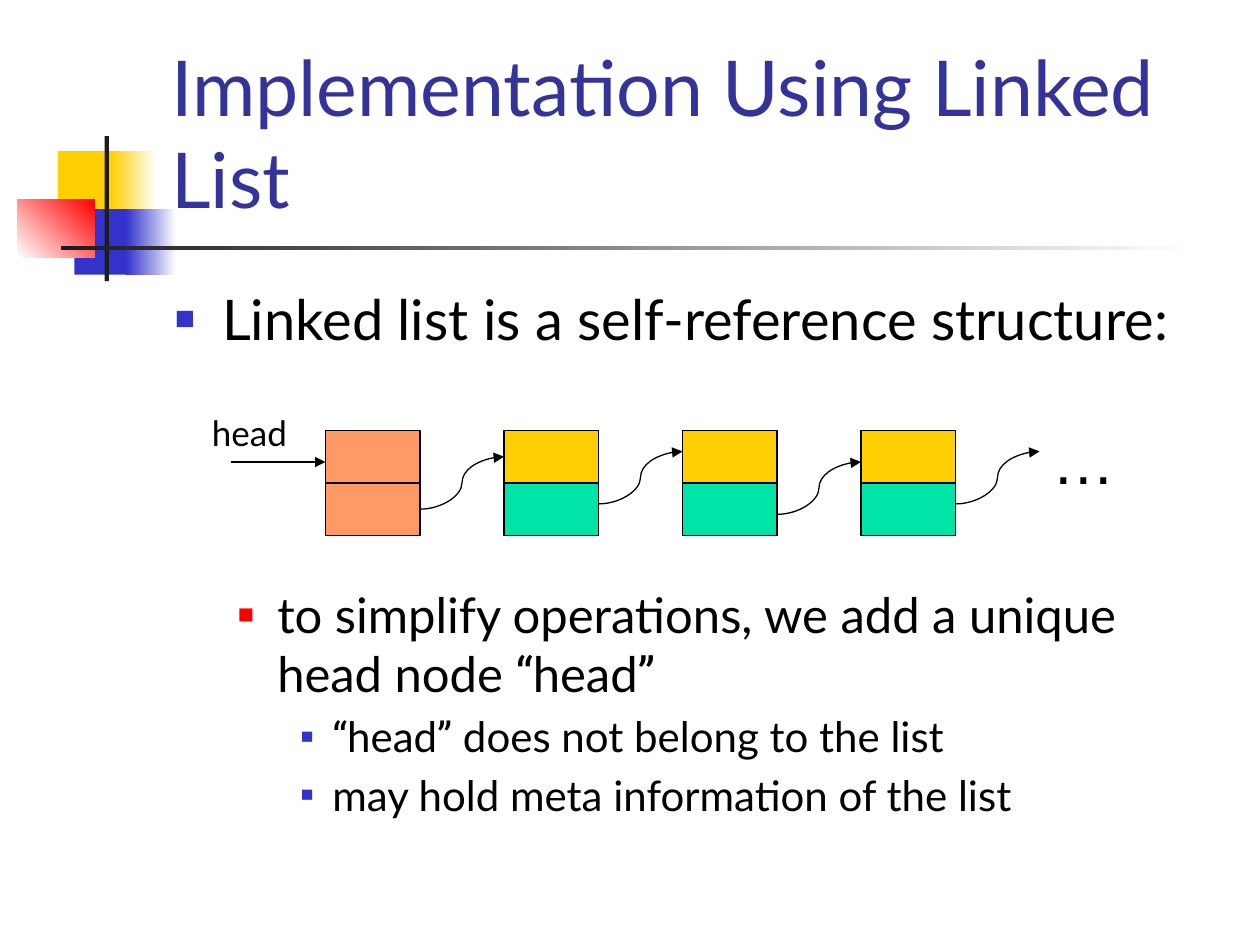
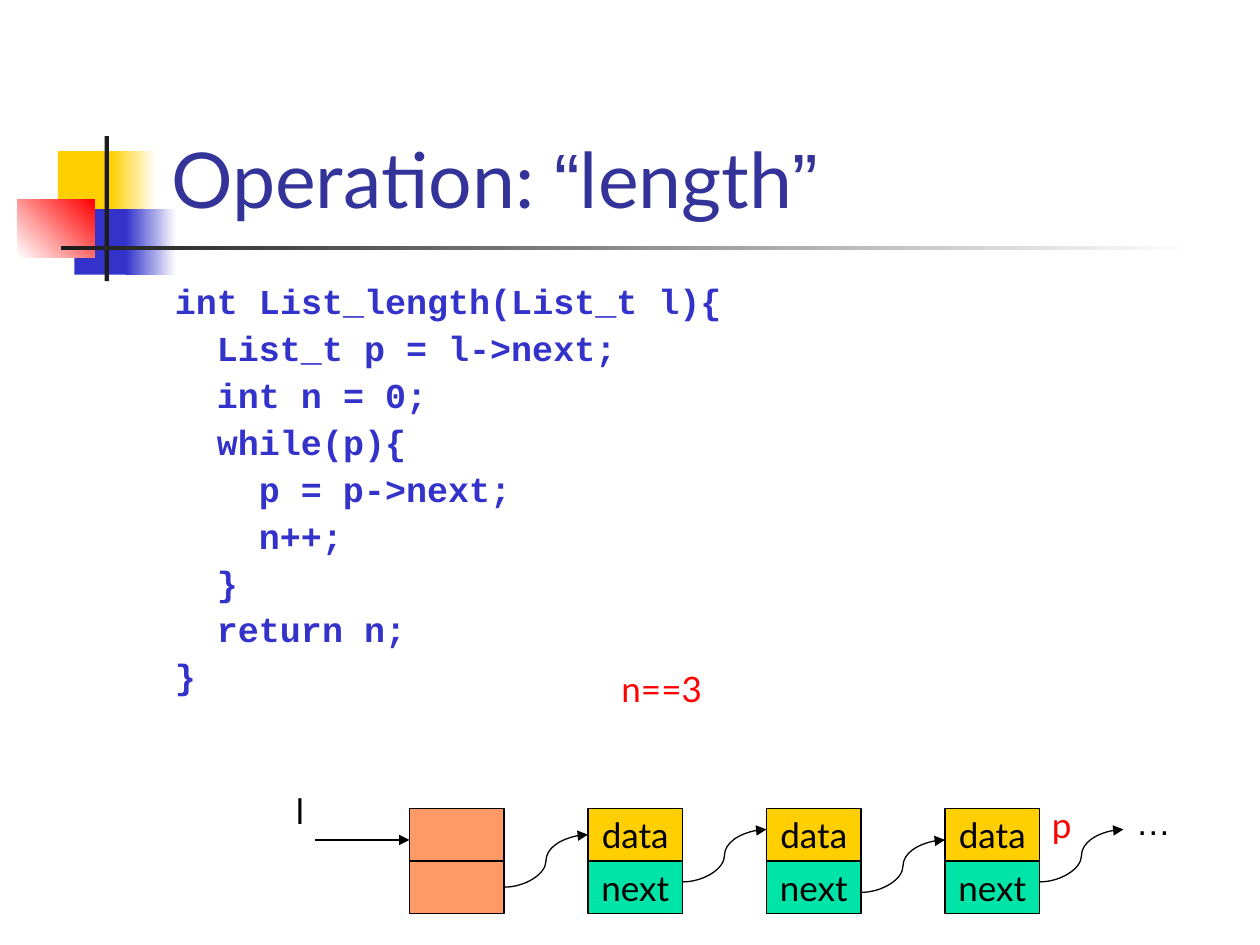
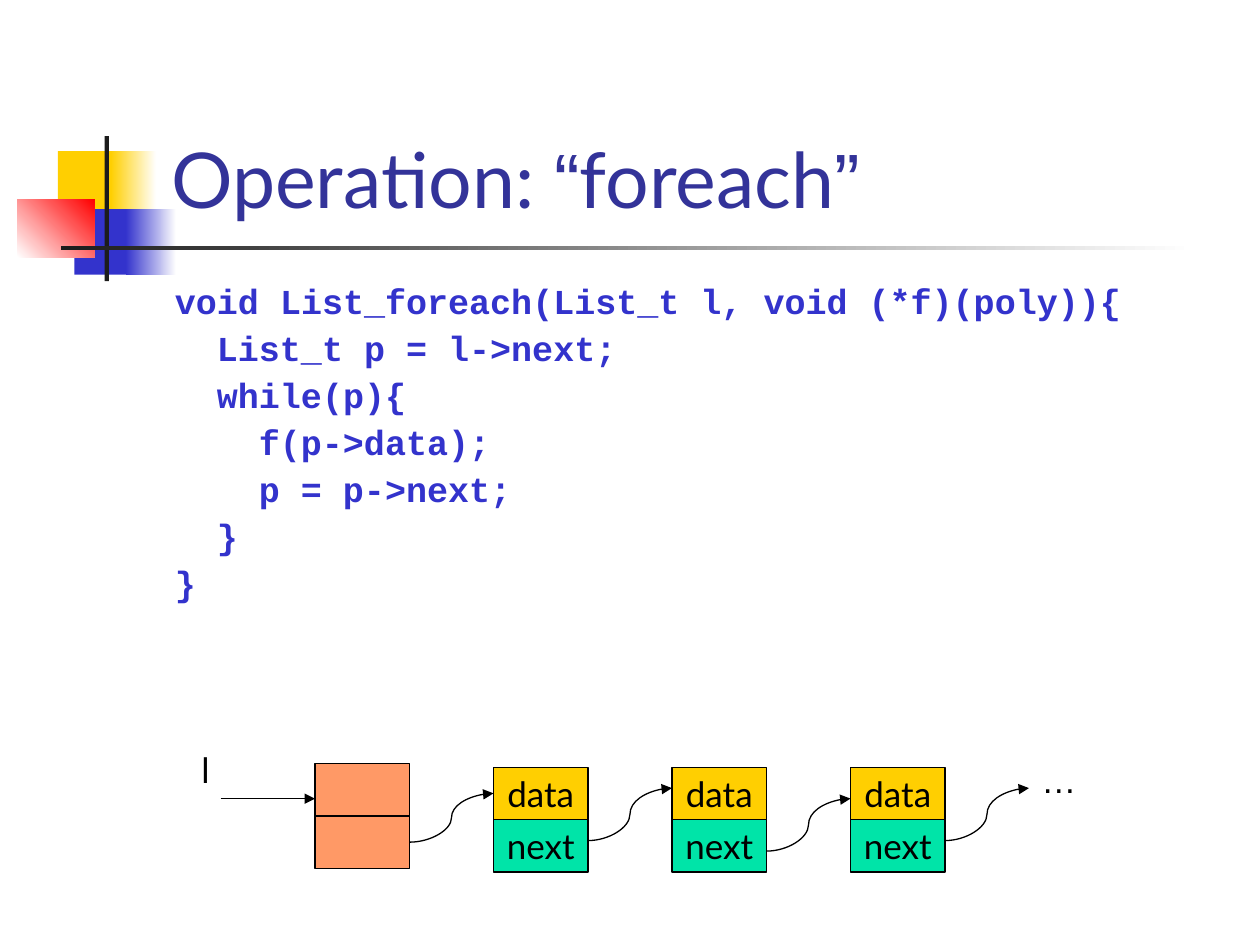
from dataclasses import dataclass, replace
from itertools import groupby

from lxml.etree import SubElement
from pptx import Presentation
from pptx.dml.color import RGBColor
from pptx.enum.shapes import MSO_CONNECTOR, MSO_SHAPE
from pptx.enum.text import MSO_ANCHOR, PP_ALIGN
from pptx.oxml.ns import qn
from pptx.util import Pt


@dataclass(frozen=True)
class Theme:
    title: str = "333399"
    ink: str = "000000"
    bar: str = "1C1C1C"
    white: str = "FFFFFF"
    yellow: str = "FFCF01"
    blue: str = "3333CC"
    red: str = "FF0000"
    head: str = "FF9966"
    green: str = "00E4A8"
    sans: str = "Lato"
    plain: str = "Arial"
    quote: str = "Roboto"
    mono: str = "Courier New"
    title_size: int = 44
    small: int = 20
    outline: float = 0.75


@dataclass(frozen=True)
class Style:
    size: float
    color: str = Theme.ink
    font: str = Theme.sans
    quote_font: str = Theme.plain
    bold: bool = False
    before: float = 0
    line: float = 1.0
    left: float = 0
    hang: float = 0
    bullet: str = ""
    bullet_percent: int = 0


THEME = Theme()
TITLE = Style(THEME.title_size, THEME.title)
LABEL = Style(THEME.small)
MARK = replace(LABEL, color=THEME.red)
CODE = Style(THEME.small, THEME.blue, THEME.mono, bold=True, before=5.2, line=0.9)
POINT = Style(32, left=27, hang=27, bullet=THEME.blue, bullet_percent=60)
SUBPOINT = Style(28, quote_font=THEME.quote, before=133, left=58.5, hang=22.5,
                 bullet=THEME.red, bullet_percent=55)
DETAIL = Style(24, quote_font=THEME.quote, before=4.8, left=90, hang=18,
               bullet=THEME.blue, bullet_percent=50)

TITLE_BOX = (90.72, 16.56, 613.44, 115.2)
BODY_BOX = (92.9, 159.1, 612, 324)

BANDS = [
    ((33.1, 86.4, 34.6, 37.4), (THEME.yellow,), 0),
    ((63.4, 86.4, 25.9, 37.4), (THEME.yellow, THEME.white), 0),
    ((42.5, 119.5, 33.1, 37.4), (THEME.blue,), 0),
    ((72, 119.5, 28.8, 37.4), (THEME.blue, THEME.white), 0),
    ((10, 113.8, 44, 33.1), (THEME.white, THEME.red), 45),
    ((59.8, 77.8, 2.4, 82.8), (THEME.bar,), 0),
    ((34.6, 140.4, 648, 2.4), (THEME.bar, THEME.white), 0),
]

NODE_WIDTH, CELL_HEIGHT, NODE_PITCH, NODE_COUNT = 54, 30, 102, 4
LINK_ENDS = [(45, 15), (42, 12), (48, 18), (42, 12)]
POINTER_DROP = 18

SLIDES = [
    {
        "title": "Implementation Using Linked List",
        "points": [
            ("Linked list is a self-reference structure:", POINT),
            ("to simplify operations, we add a unique head node “head”", SUBPOINT),
            ("“head” does not belong to the list", DETAIL),
            ("may hold meta information of the list", DETAIL),
        ],
        "list": {"left": 186, "top": 246, "lift": 0, "pointer": "head",
                 "pointer_width": 57.6, "fields": ("", ""), "dots": 36},
        "marks": [],
    },
    {
        "title": "Operation: “length”",
        "code": [
            (0, "int List_length(List_t l){"),
            (1, "List_t p = l->next;"),
            (1, "int n = 0;"),
            (1, "while(p){"),
            (2, "p = p->next;"),
            (2, "n++;"),
            (1, "}"),
            (1, "return n;"),
            (0, "}"),
        ],
        "list": {"left": 234, "top": 462, "lift": 0, "pointer": "l",
                 "pointer_width": 19.4, "fields": ("data", "next"), "dots": 20},
        "marks": [("p", (594, 455.8, 30, 31)), ("n==3", (348, 378, 90, 31))],
    },
    {
        "title": "Operation: “foreach”",
        "code": [
            (0, "void List_foreach(List_t l, void (*f)(poly)){"),
            (1, "List_t p = l->next;"),
            (1, "while(p){"),
            (2, "f(p->data);"),
            (2, "p = p->next;"),
            (1, "}"),
            (0, "}"),
        ],
        "list": {"left": 180, "top": 438.4, "lift": 2.1, "pointer": "l",
                 "pointer_width": 19.4, "fields": ("data", "next"), "dots": 20},
        "marks": [],
    },
]


def rgb(color):
    return RGBColor.from_string(color)


def points(lengths):
    return [Pt(length) for length in lengths]


def write_paragraph(paragraph, text, style):
    properties = paragraph._p.get_or_add_pPr()
    properties.set("marL", str(Pt(style.left)))
    properties.set("indent", str(-Pt(style.hang)))
    if style.bullet:
        tint = SubElement(properties, qn("a:buClr"))
        SubElement(tint, qn("a:srgbClr"), val=style.bullet)
        SubElement(properties, qn("a:buSzPct"), val=str(style.bullet_percent * 1000))
        SubElement(properties, qn("a:buFont"), typeface=THEME.plain)
        SubElement(properties, qn("a:buChar"), char="■")
    paragraph.space_before = Pt(style.before)
    paragraph.line_spacing = style.line
    paragraph.font.size = Pt(style.size)
    paragraph.font.name = style.font
    paragraph.font.bold = style.bold
    paragraph.font.color.rgb = rgb(style.color)
    for quoted, letters in groupby(text, lambda letter: letter in "“”"):
        run = paragraph.add_run()
        run.text = "".join(letters)
        if quoted:
            run.font.name = style.quote_font


def add_text(slide, box, lines, anchor=MSO_ANCHOR.TOP, wrap=True):
    frame = slide.shapes.add_textbox(*points(box)).text_frame
    frame.word_wrap = wrap
    frame.vertical_anchor = anchor
    for number, (text, style) in enumerate(lines):
        if number == 0:
            write_paragraph(frame.paragraphs[0], text, replace(style, before=0))
        else:
            write_paragraph(frame.add_paragraph(), text, style)


def add_block(slide, box, colors, angle=0):
    block = slide.shapes.add_shape(MSO_SHAPE.RECTANGLE, *points(box))
    block.shadow.inherit = False
    block.line.fill.background()
    if len(colors) == 1:
        block.fill.solid()
        block.fill.fore_color.rgb = rgb(colors[0])
    else:
        block.fill.gradient()
        block.fill.gradient_angle = angle
        for stop, color in zip(block.fill.gradient_stops, colors):
            stop.color.rgb = rgb(color)
    return block


def add_cell(slide, left, top, color, field):
    cell = add_block(slide, (left, top, NODE_WIDTH, CELL_HEIGHT), (color,))
    cell.line.color.rgb = rgb(THEME.ink)
    cell.line.width = Pt(THEME.outline)
    if field:
        frame = cell.text_frame
        frame.word_wrap = False
        frame.vertical_anchor = MSO_ANCHOR.MIDDLE
        write_paragraph(frame.paragraphs[0], field, LABEL)
        frame.paragraphs[0].alignment = PP_ALIGN.CENTER


def add_arrow(slide, kind, ends):
    arrow = slide.shapes.add_connector(kind, *points(ends))
    arrow.line.color.rgb = rgb(THEME.ink)
    arrow.line.width = Pt(THEME.outline)
    SubElement(arrow.line._get_or_add_ln(), qn("a:tailEnd"), type="triangle")
    SubElement(arrow._element.spPr, qn("a:effectLst"))


def add_linked_list(slide, chain):
    left, top = chain["left"], chain["top"]
    lefts = [left + NODE_PITCH * number for number in range(NODE_COUNT + 1)]
    for number, node_left in enumerate(lefts[:-1]):
        is_head = number == 0
        node_top = top - chain["lift"] if is_head else top
        colors = (THEME.head,) * 2 if is_head else (THEME.yellow, THEME.green)
        fields = ("", "") if is_head else chain["fields"]
        for row, (color, field) in enumerate(zip(colors, fields)):
            add_cell(slide, node_left, node_top + row * CELL_HEIGHT, color, field)

    pointer_y = top + POINTER_DROP
    add_arrow(slide, MSO_CONNECTOR.STRAIGHT,
              (left - NODE_WIDTH, pointer_y, left, pointer_y))
    add_text(slide, (left - 72, top - 14.3, chain["pointer_width"], 31),
             [(chain["pointer"], LABEL)], wrap=False)

    for number, (start, end) in enumerate(LINK_ENDS):
        lift = chain["lift"] if number == 0 else 0
        add_arrow(slide, MSO_CONNECTOR.CURVE,
                  (lefts[number] + NODE_WIDTH, top + start - lift,
                   lefts[number + 1], top + end))
    dots = Style(chain["dots"], font=THEME.plain)
    add_text(slide, (lefts[-1], top - 8.4, NODE_WIDTH, chain["dots"] * 1.2 + 7.2),
             [("…", dots)])


def build_slide(deck, content):
    slide = deck.slides.add_slide(deck.slide_layouts[6])
    for band in BANDS:
        add_block(slide, *band)
    add_text(slide, TITLE_BOX, [(content["title"], TITLE)], MSO_ANCHOR.BOTTOM)
    body = content.get("points") or [
        (text, replace(CODE, left=24 * depth)) for depth, text in content["code"]
    ]
    add_text(slide, BODY_BOX, body)
    add_linked_list(slide, content["list"])
    for text, box in content["marks"]:
        add_text(slide, box, [(text, MARK)])


def main():
    deck = Presentation()
    deck.slide_width, deck.slide_height = Pt(720), Pt(540)
    for content in SLIDES:
        build_slide(deck, content)
    deck.save("out.pptx")


if __name__ == "__main__":
    main()
